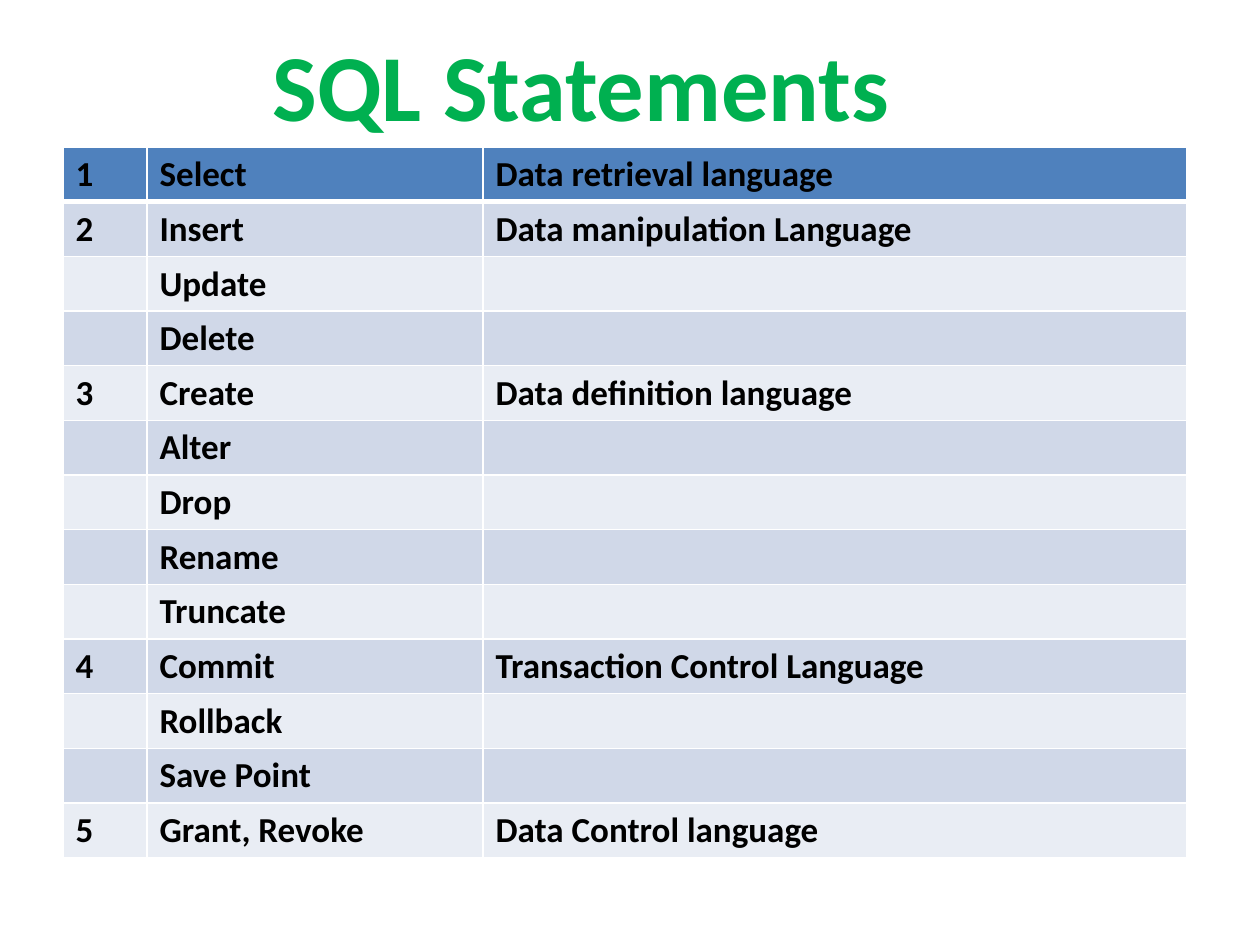
from lxml import etree
from pptx import Presentation
from pptx import util as u
from pptx.dml.color import RGBColor
from pptx.enum import text
from pptx.oxml import ns

GREEN = RGBColor(0x00, 0xB0, 0x50)
BLACK = RGBColor(0x00, 0x00, 0x00)
WHITE = RGBColor(0xFF, 0xFF, 0xFF)
HEADER = RGBColor(0x4F, 0x81, 0xBD)
BANDS = (RGBColor(0xE9, 0xED, 0xF4), RGBColor(0xD0, 0xD8, 0xE8))

STATEMENTS = [
    ("Data retrieval language", ["Select"]),
    ("Data manipulation Language", ["Insert", "Update", "Delete"]),
    ("Data definition language", ["Create", "Alter", "Drop", "Rename", "Truncate"]),
    ("Transaction Control Language", ["Commit", "Rollback", "Save Point"]),
    ("Data Control language", ["Grant, Revoke"]),
]


class SlideBuilder:
    font = "Calibri"

    def __init__(self, slide):
        self.slide = slide

    def add_span(self, para, words, size, color):
        span = para.add_run()
        span.text = words
        span.font.name = self.font
        span.font.size = u.Pt(size)
        span.font.bold = True
        span.font.color.rgb = color

    def add_title(self, words, left, top, width, height):
        box = self.slide.shapes.add_textbox(*map(u.Pt, (left, top, width, height)))
        frame = box.text_frame
        frame.word_wrap = False
        frame.auto_size = text.MSO_AUTO_SIZE.SHAPE_TO_FIT_TEXT
        para = frame.paragraphs[0]
        para.alignment = text.PP_ALIGN.CENTER
        self.add_span(para, words, 54, GREEN)

    def add_borders(self, cell, widths):
        properties = cell._tc.get_or_add_tcPr()
        for index, (side, width) in enumerate(widths.items()):
            line = etree.Element(ns.qn("a:ln" + side), w=str(u.Pt(width)))
            fill = etree.SubElement(line, ns.qn("a:solidFill"))
            etree.SubElement(fill, ns.qn("a:srgbClr"), val=str(WHITE))
            properties.insert(index, line)

    def add_table(self, rows, left, top, column_widths, row_height):
        frame = self.slide.shapes.add_table(
            len(rows), len(column_widths), u.Pt(left), u.Pt(top),
            u.Pt(sum(column_widths)), u.Pt(row_height * len(rows)))
        table = frame.table
        table.horz_banding = False
        for column, width in zip(table.columns, column_widths):
            column.width = u.Pt(width)
        for number, values in enumerate(rows):
            table.rows[number].height = u.Pt(row_height)
            borders = {"L": 1, "R": 1,
                       "T": 3 if number == 1 else 1,
                       "B": 3 if number == 0 else 1}
            for cell, value in zip(table.rows[number].cells, values):
                cell.fill.solid()
                cell.fill.fore_color.rgb = BANDS[number % 2] if number else HEADER
                self.add_borders(cell, borders)
                if value:
                    self.add_span(cell.text_frame.paragraphs[0], value, 20, BLACK)


def statement_rows():
    return [
        ("" if position else str(number), command, "" if position else language)
        for number, (language, commands) in enumerate(STATEMENTS, 1)
        for position, command in enumerate(commands)
    ]


def main():
    deck = Presentation()
    deck.slide_width, deck.slide_height = u.Pt(720), u.Pt(540)
    page = SlideBuilder(deck.slides.add_slide(deck.slide_layouts[6]))
    page.add_title("SQL Statements", 138, 12, 388, 72.7)
    page.add_table(statement_rows(), 36, 84, (48, 192, 402), 31.2)
    deck.save("out.pptx")


if __name__ == "__main__":
    main()
